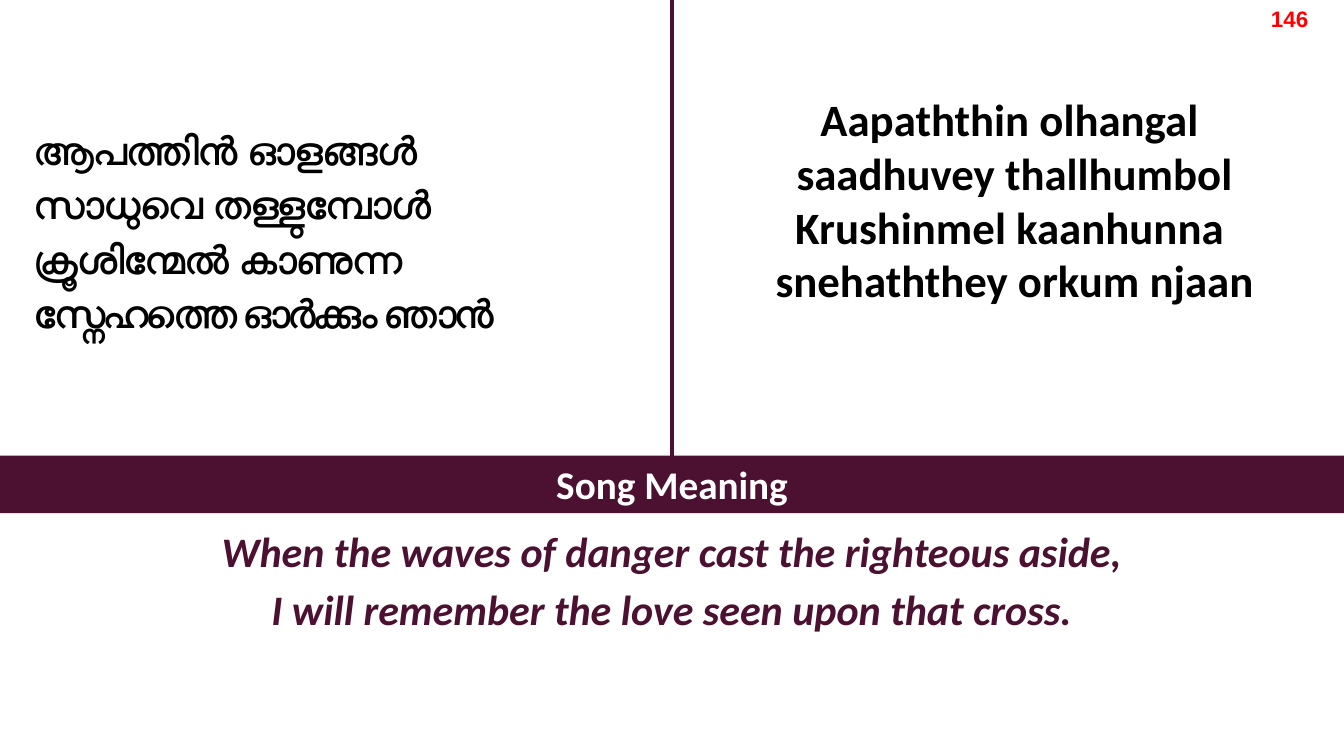
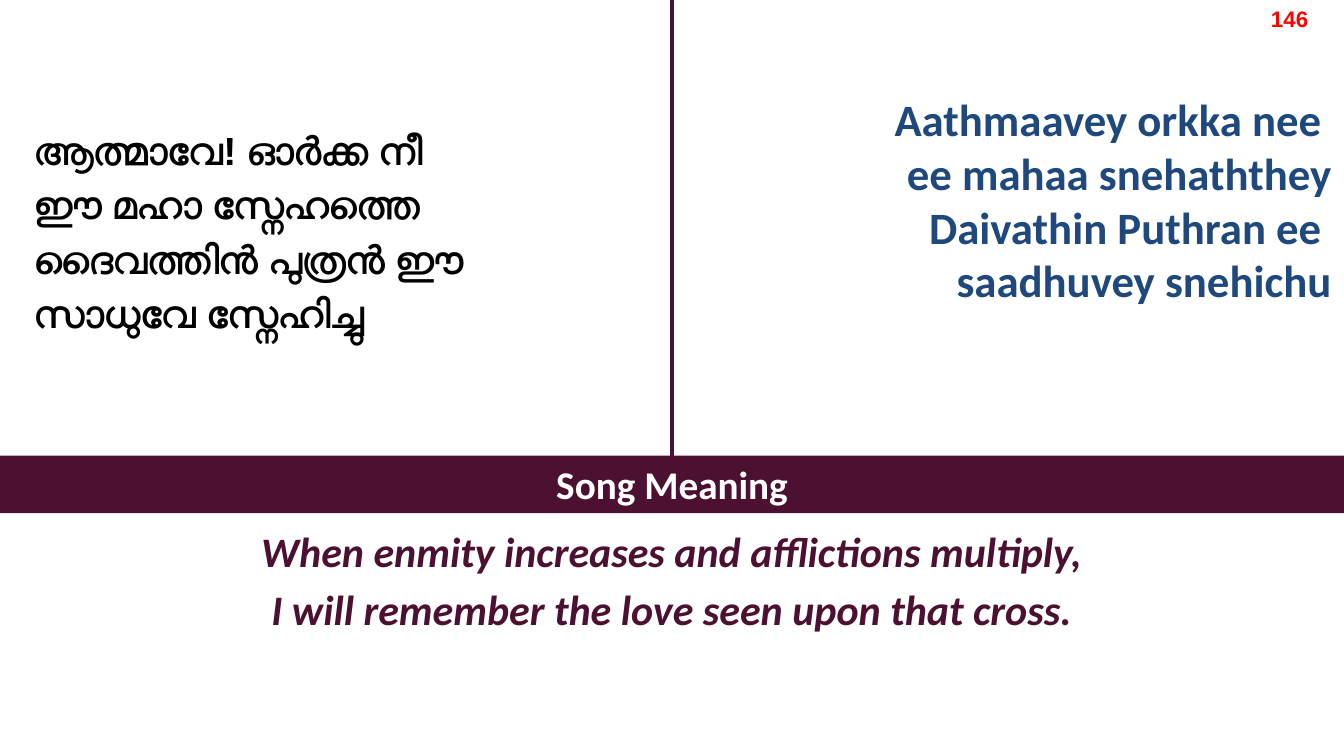
from dataclasses import dataclass

from lxml import etree
from pptx import Presentation
from pptx.dml.color import RGBColor
from pptx.enum.shapes import MSO_CONNECTOR, MSO_SHAPE
from pptx.enum.text import MSO_ANCHOR, MSO_AUTO_SIZE, PP_ALIGN
from pptx.oxml.ns import qn
from pptx.util import Inches, Pt

LEFT, CENTER, RIGHT = PP_ALIGN.LEFT, PP_ALIGN.CENTER, PP_ALIGN.RIGHT
TOP, MIDDLE = MSO_ANCHOR.TOP, MSO_ANCHOR.MIDDLE
NO_FIT, GROW = MSO_AUTO_SIZE.NONE, MSO_AUTO_SIZE.SHAPE_TO_FIT_TEXT
RECT, STRAIGHT = MSO_SHAPE.RECTANGLE, MSO_CONNECTOR.STRAIGHT

PLUM, WHITE, BLACK, BLUE, RED = "4C1130", "FFFFFF", "000000", "1F497D", "FF0000"
WIDTH, HEIGHT = Inches(13.33), Inches(7.5)
SONG_NUMBER = "146"
TITLE_ONLY = 5


@dataclass(frozen=True)
class PercentArea:
    left: float
    top: float
    width: float
    height: float

    def emu(self) -> tuple[int, int, int, int]:
        return (int(WIDTH * self.left / 100), int(HEIGHT * self.top / 100),
                int(WIDTH * self.width / 100), int(HEIGHT * self.height / 100))


@dataclass(frozen=True)
class Style:
    size: int
    color: str
    align: PP_ALIGN = CENTER
    font: str = "Calibri"
    italic: bool = False
    spacing: float = 1.0
    inset_x: float = 0.1
    inset_y: float = 0.05


@dataclass(frozen=True)
class Verse:
    malayalam: tuple[str, ...]
    romanized: tuple[str, ...]
    meaning: tuple[str, ...]
    color: str
    align: PP_ALIGN
    last_line_spacing: int = 0


MALAYALAM_AREA = PercentArea(1.8, 1.87, 48.16, 56.53)
ROMANIZED_AREA = PercentArea(51, 11.33, 49, 30.4)
BAND_AREA = PercentArea(0, 60.27, 100, 7.6)
MEANING_AREA = PercentArea(6.9, BAND_AREA.top + BAND_AREA.height, 86.2, 16.8)
NUMBER_AREA = PercentArea(91.9, 0, 8.1, 4.93)

MALAYALAM = Style(28, BLACK, LEFT, "Arial", spacing=1.15)
MEANING = Style(30, PLUM, italic=True, spacing=1.15)
BAND = Style(28, WHITE)
NUMBER = Style(16, RED, font="Arial")

VERSES = (
    Verse(
        ("ആപത്തിൻ ഓളങ്ങൾ", "സാധുവെ തള്ളുമ്പോൾ",
         "ക്രൂശിന്മേൽ കാണുന്ന", "സ്നേഹത്തെ ഓർക്കും ഞാൻ"),
        ("Aapaththin olhangal ", "saadhuvey thallhumbol",
         "Krushinmel kaanhunna ", "snehaththey orkum njaan"),
        ("When the waves of danger cast the righteous aside,",
         "I will remember the love seen upon that cross."),
        BLACK, CENTER, last_line_spacing=-150,
    ),
    Verse(
        ("ആത്മാവേ! ഓർക്ക നീ", "ഈ മഹാ സ്നേഹത്തെ",
         "ദൈവത്തിൻ പുത്രൻ ഈ", "സാധുവേ സ്നേഹിച്ചു"),
        ("Aathmaavey orkka nee ", "ee mahaa snehaththey",
         "Daivathin Puthran ee ", "saadhuvey snehichu"),
        ("When enmity increases and afflictions multiply,",
         "I will remember the love seen upon that cross."),
        BLUE, RIGHT,
    ),
)


def rgb(color: str) -> RGBColor:
    return RGBColor.from_string(color)


def setup_frame(tf, style: Style, anchor, fit) -> None:
    tf.word_wrap = True
    tf.auto_size = fit
    tf.vertical_anchor = anchor
    tf.margin_left = tf.margin_right = Inches(style.inset_x)
    tf.margin_top = tf.margin_bottom = Inches(style.inset_y)


def setup_paragraph(p, style: Style) -> None:
    p.alignment = style.align
    p.line_spacing = style.spacing
    p.space_before = p.space_after = Pt(0)


def add_run(p, text: str, style: Style):
    r = p.add_run()
    r.text = text
    r.font.name = style.font
    r.font.size = Pt(style.size)
    r.font.bold = True
    r.font.italic = style.italic
    r.font.color.rgb = rgb(style.color)
    return r


def write_lines(tf, lines: tuple[str, ...], style: Style, anchor=TOP) -> None:
    setup_frame(tf, style, anchor, GROW)
    for i, line in enumerate(lines):
        p = tf.add_paragraph() if i else tf.paragraphs[0]
        setup_paragraph(p, style)
        add_run(p, line, style)


def add_text(slide, area: PercentArea, lines: tuple[str, ...], style: Style) -> None:
    write_lines(slide.shapes.add_textbox(*area.emu()).text_frame, lines, style)


def fill_title(slide, verse: Verse) -> None:
    sp = slide.shapes.title
    sp.left, sp.top, sp.width, sp.height = MALAYALAM_AREA.emu()
    tf = sp.text_frame
    setup_frame(tf, MALAYALAM, MIDDLE, NO_FIT)
    p = tf.paragraphs[0]
    setup_paragraph(p, MALAYALAM)
    for i, line in enumerate(verse.malayalam):
        if i:
            p.add_line_break()
        r = add_run(p, line, MALAYALAM)
        props = r._r.get_or_add_rPr()
        etree.SubElement(props, qn("a:cs")).set("typeface", MALAYALAM.font)
    if verse.last_line_spacing:
        props.set("spc", str(verse.last_line_spacing))


def add_band(slide):
    sp = slide.shapes.add_shape(RECT, *BAND_AREA.emu())
    sp.shadow.inherit = False
    sp.fill.solid()
    sp.fill.fore_color.rgb = rgb(PLUM)
    sp.line.fill.background()
    write_lines(sp.text_frame, ("Song Meaning",), BAND, MIDDLE)
    return sp


def add_divider(slide, band) -> None:
    middle = WIDTH // 2
    line = slide.shapes.add_connector(STRAIGHT, middle, 0, middle, band.top)
    line.end_connect(band, 0)
    line.line.color.rgb = rgb(PLUM)
    line.line.width = Pt(3)
    etree.SubElement(line._element.spPr, qn("a:effectLst"))


def add_verse(prs, verse: Verse) -> None:
    slide = prs.slides.add_slide(prs.slide_layouts[TITLE_ONLY])
    fill_title(slide, verse)
    romanized = Style(32, verse.color, verse.align, inset_x=0.12, inset_y=0.06)
    add_text(slide, ROMANIZED_AREA, verse.romanized, romanized)
    add_text(slide, MEANING_AREA, verse.meaning, MEANING)
    add_divider(slide, add_band(slide))
    add_text(slide, NUMBER_AREA, (SONG_NUMBER,), NUMBER)


def main() -> None:
    prs = Presentation()
    prs.slide_width, prs.slide_height = WIDTH, HEIGHT
    for verse in VERSES:
        add_verse(prs, verse)
    prs.save("out.pptx")


if __name__ == "__main__":
    main()
